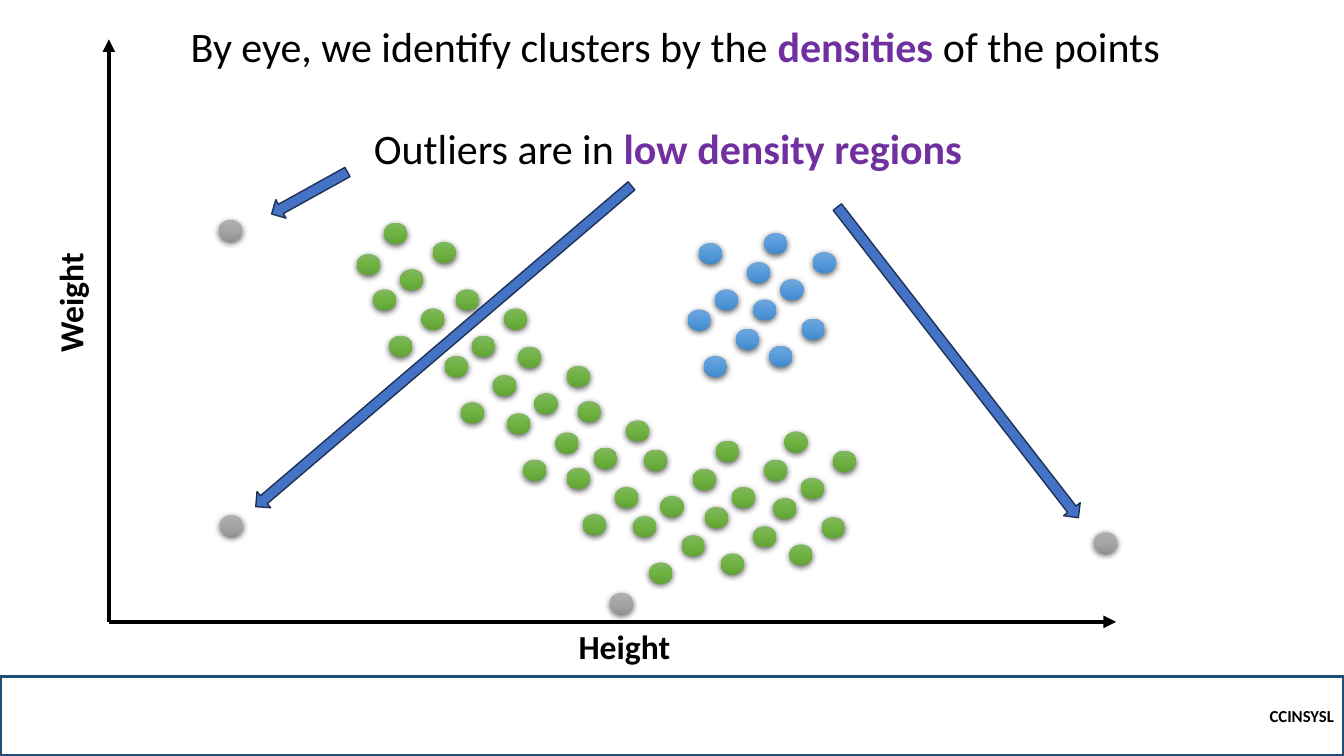
import copy

import lxml.etree
import pptx
import pptx.dml.color
import pptx.enum.shapes
import pptx.enum.text
import pptx.oxml.ns
import pptx.util

Inches = pptx.util.Inches
Pt = pptx.util.Pt
SHAPE = pptx.enum.shapes.MSO_SHAPE
ALIGN = pptx.enum.text.PP_ALIGN
ANCHOR = pptx.enum.text.MSO_ANCHOR
qn = pptx.oxml.ns.qn

BLACK = "000000"
PURPLE = "7030A0"
GREEN = ("81B861", "6FB242", "62A336")
BLUE = ("71A6DB", "559BDB", "448ACA")
GRAY = ("AFAFAF", "A5A5A5", "939393")

CLUSTER = [(0, 0), (0.16, 0.46), (0.48, 0.19), (-0.11, 0.66), (0.05, 1.12), (0.37, 0.85)]
GREEN_ORIGINS = [(3.81, 2.21), (4.52, 2.87), (5.14, 3.44), (5.73, 3.98),
                 (6.39, 4.46), (7.1, 4.37), (7.78, 4.28)]
BLUE_ORIGINS = [(6.93, 2.41), (7.58, 2.31)]
OUTLIERS = [(2.17, 2.18), (2.18, 5.11), (10.85, 5.28), (6.05, 5.88)]
POINTERS = [(7.55, 3.49, 3.9, 52.2), (2.64, 1.81, 0.86, 151), (1.95, 3.33, 4.9, 139.5)]


def rgb(value):
    return pptx.dml.color.RGBColor.from_string(value)


def add_xml(parent, tag, **attributes):
    return lxml.etree.SubElement(parent, qn(tag), attributes)


class ScatterSlide:
    font = "Calibri"
    dot_size = (0.23, 0.21)
    pointer_height = 0.21

    def __init__(self, presentation):
        self.slide = presentation.slides.add_slide(presentation.slide_layouts[5])
        self.shapes = self.slide.shapes

    def set_text(self, frame, runs, size, align=ALIGN.LEFT, anchor=ANCHOR.TOP):
        frame.word_wrap = False
        frame.auto_size = pptx.enum.text.MSO_AUTO_SIZE.NONE
        frame.vertical_anchor = anchor
        paragraph = frame.paragraphs[0]
        paragraph.alignment = align
        paragraph.font.name = self.font
        paragraph.font.size = Pt(size)
        for words, color, bold in runs:
            run = paragraph.add_run()
            run.text = words
            run.font.color.rgb = rgb(color)
            run.font.bold = bold

    def title(self, left, top, width, height, runs, size):
        title = self.shapes.title
        title.left, title.top = Inches(left), Inches(top)
        title.width, title.height = Inches(width), Inches(height)
        self.set_text(title.text_frame, runs, size)

    def label(self, left, top, width, height, runs, size, rotation=0, canvas=None):
        label = (canvas or self.shapes).add_textbox(
            Inches(left), Inches(top), Inches(width), Inches(height))
        label.rotation = rotation
        self.set_text(label.text_frame, runs, size)

    def shape(self, kind, left, top, width, height, canvas=None):
        shape = (canvas or self.shapes).add_shape(
            kind, Inches(left), Inches(top), Inches(width), Inches(height))
        shape.shadow.inherit = False
        return shape

    def footer(self, left, top, width, height, words):
        footer = self.shape(SHAPE.RECTANGLE, left, top, width, height)
        footer.fill.background()
        footer.line.color.rgb = rgb("1F4E79")
        footer.line.width = Pt(2.25)
        self.set_text(footer.text_frame, [(words, BLACK, True)], 12, ALIGN.RIGHT, ANCHOR.MIDDLE)

    def axis(self, start, end):
        axis = self.shapes.add_connector(
            pptx.enum.shapes.MSO_CONNECTOR.STRAIGHT,
            *(Inches(value) for value in start + end))
        axis.line.color.rgb = rgb(BLACK)
        axis.line.width = Pt(3)
        properties = axis._element.spPr
        add_xml(properties.find(qn("a:ln")), "a:tailEnd", type="triangle")
        add_xml(properties, "a:effectLst")

    def dot(self, left, top, colors):
        dot = self.shape(SHAPE.OVAL, left, top, *self.dot_size)
        dot.line.fill.background()
        dot.fill.gradient()
        dot.fill.gradient_angle = 270
        properties = dot._element.spPr
        stop_list = properties.find(".//" + qn("a:gsLst"))
        stop_list.insert(1, copy.deepcopy(stop_list[0]))
        for stop, position, color in zip(dot.fill.gradient_stops, (0, 0.5, 1), colors):
            stop.position = position
            stop.color.rgb = rgb(color)
        shadow = add_xml(properties.find(qn("a:effectLst")), "a:outerShdw",
                         blurRad=str(Pt(4.5)), dist=str(Pt(1.5)), dir="5400000",
                         algn="ctr", rotWithShape="0")
        shade = add_xml(shadow, "a:srgbClr", val=BLACK)
        add_xml(shade, "a:alpha", val="63000")

    def clusters(self, origins, colors):
        for left, top in origins:
            for right, down in CLUSTER:
                self.dot(left + right, top + down, colors)

    def pointer(self, left, top, width, rotation, canvas):
        pointer = self.shape(SHAPE.RIGHT_ARROW, left, top, width, self.pointer_height, canvas)
        pointer.rotation = rotation
        pointer.fill.solid()
        pointer.fill.fore_color.rgb = rgb("4472C4")
        pointer.line.color.rgb = rgb("1E3256")
        pointer.line.width = Pt(1)


def main():
    presentation = pptx.Presentation()
    presentation.slide_width = Inches(13.33)
    presentation.slide_height = Inches(7.5)
    scatter = ScatterSlide(presentation)

    scatter.title(1.79, 0.15, 9.85, 0.61, [
        ("By eye, we identify clusters by the ", BLACK, False),
        ("densities", PURPLE, True),
        (" of the points", BLACK, False)], 30)
    scatter.footer(0, 6.71, 13.33, 0.79, "CCINSYSL")

    origin = (1.08, 6.17)
    scatter.axis(origin, (11.07, 6.17))
    scatter.axis(origin, (1.08, 0.39))
    scatter.label(5.64, 6.16, 1.17, 0.5, [("Height", BLACK, True)], 24)
    scatter.label(0.1, 2.75, 1.19, 0.5, [("Weight", BLACK, True)], 24, rotation=270)

    scatter.clusters(GREEN_ORIGINS, GREEN)
    scatter.dot(3.54, 2.52, GREEN)
    scatter.clusters(BLUE_ORIGINS, BLUE)
    for left, top in OUTLIERS:
        scatter.dot(left, top, GRAY)

    outlier_note = scatter.shapes.add_group_shape().shapes
    scatter.label(3.61, 1.17, 6.2, 0.61, [
        ("Outliers are in ", BLACK, False),
        ("low density regions", PURPLE, True)], 30, canvas=outlier_note)
    for left, top, width, rotation in POINTERS:
        scatter.pointer(left, top, width, rotation, outlier_note)

    presentation.save("out.pptx")


if __name__ == "__main__":
    main()
